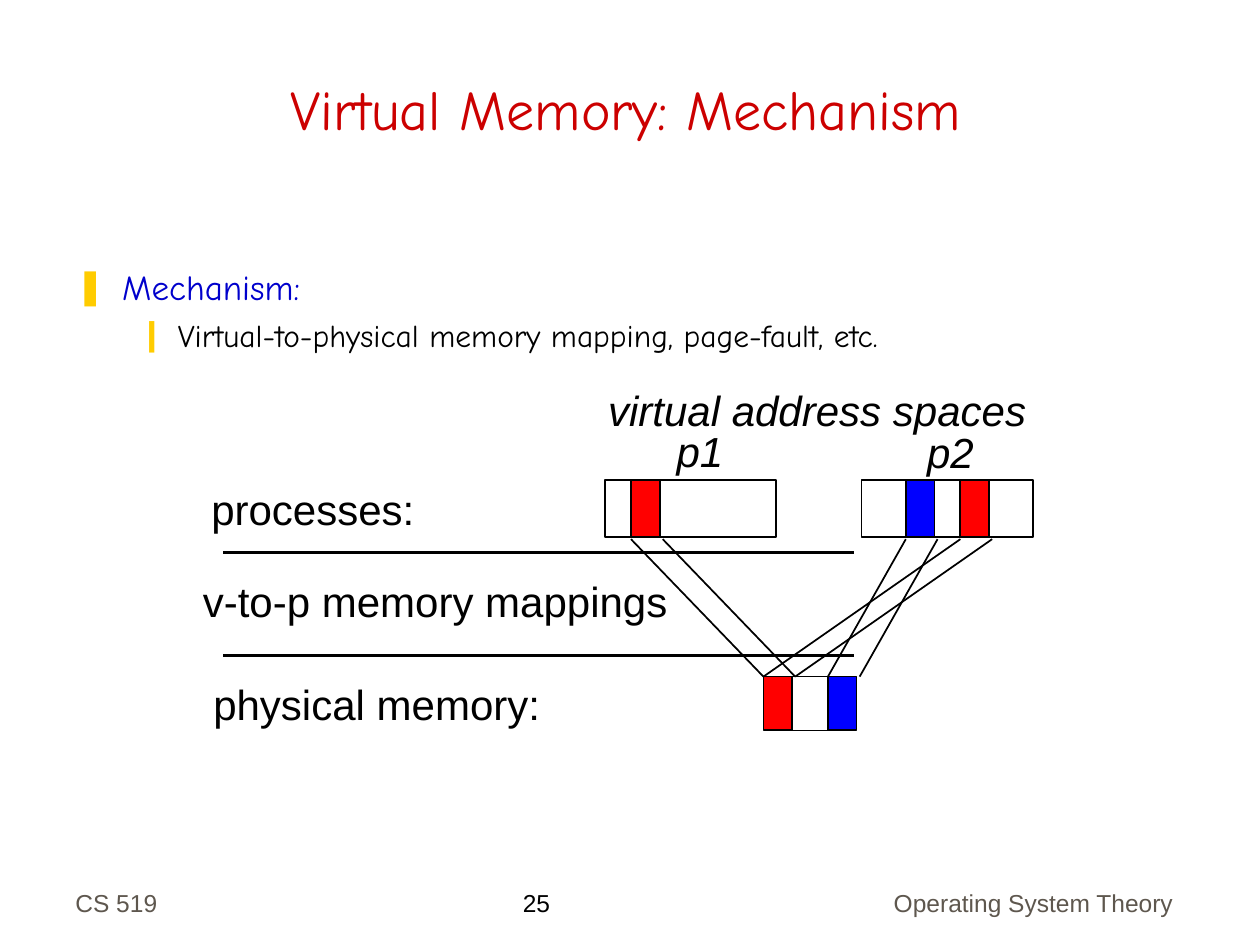
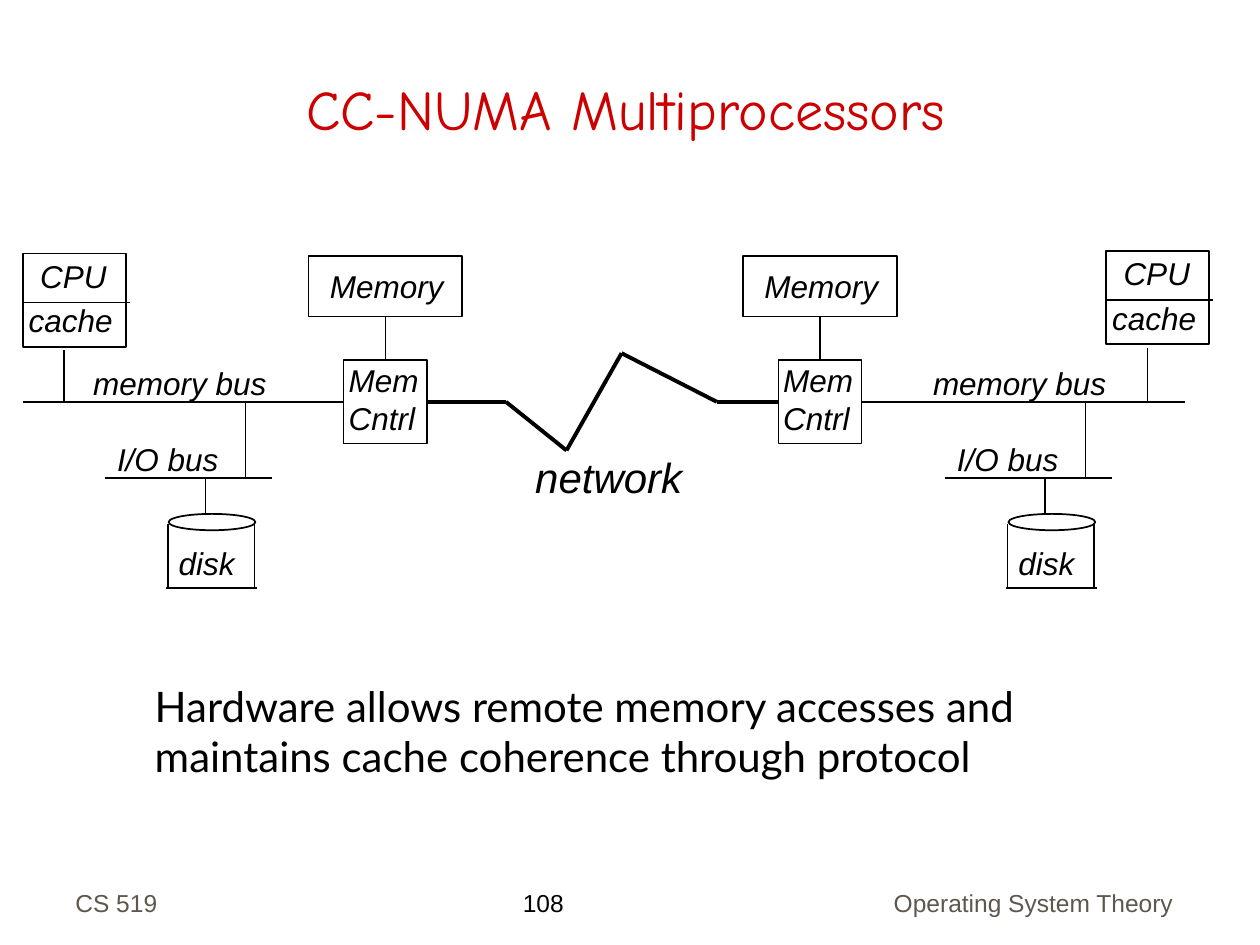
from lxml import etree
from pptx import Presentation
from pptx.dml.color import RGBColor
from pptx.enum.shapes import MSO_CONNECTOR, MSO_SHAPE
from pptx.enum.text import MSO_ANCHOR, PP_ALIGN
from pptx.oxml.ns import qn
from pptx.util import Cm, Pt

BLACK = RGBColor(0x00, 0x00, 0x00)
WHITE = RGBColor(0xFF, 0xFF, 0xFF)
RED = RGBColor(0xFF, 0x00, 0x00)
BLUE = RGBColor(0x00, 0x00, 0xFF)
CRIMSON = RGBColor(0xCC, 0x00, 0x00)
NAVY = RGBColor(0x00, 0x00, 0xCC)
GOLD = RGBColor(0xFF, 0xCC, 0x00)
GREY = RGBColor(0x5E, 0x57, 0x4E)

SANS = "Arial"
COMIC = "Comic Neue"
LATO = "Lato"

LEFT, CENTER, RIGHT = PP_ALIGN.LEFT, PP_ALIGN.CENTER, PP_ALIGN.RIGHT
TOP, BOTTOM = MSO_ANCHOR.TOP, MSO_ANCHOR.BOTTOM
RECT, OVAL = MSO_SHAPE.RECTANGLE, MSO_SHAPE.OVAL
STRAIGHT = MSO_CONNECTOR.STRAIGHT
S_TOP, S_LEFT, S_BOTTOM, S_RIGHT = range(4)

PAGE_W = 0.58
BUS_Y = 8.1
IO_Y = 9.63


def write(para, text, size, color=BLACK, face=SANS, italic=False):
    run = para.add_run()
    run.text = text
    font = run.font
    font.size = Pt(size)
    font.name = face
    font.italic = italic
    font.color.rgb = color


def place(shape, x, y, w, h):
    shape.left, shape.top, shape.width, shape.height = map(Cm, (x, y, w, h))


def label(slide, x, y, w, h, lines, size, color=BLACK, face=SANS,
          italic=False, align=LEFT, anchor=TOP):
    box = slide.shapes.add_textbox(Cm(x), Cm(y), Cm(w), Cm(h))
    frame = box.text_frame
    frame.word_wrap = True
    frame.vertical_anchor = anchor
    for i, line in enumerate(lines):
        para = frame.add_paragraph() if i else frame.paragraphs[0]
        para.alignment = align
        write(para, line, size, color, face, italic)


def tag(slide, x, y, w, *lines):
    label(slide, x, y, w, 1.02 if len(lines) == 1 else 1.78, lines, 18,
          italic=True)


def block(slide, x, y, w, h, fill=WHITE, kind=RECT, width=1):
    shape = slide.shapes.add_shape(kind, Cm(x), Cm(y), Cm(w), Cm(h))
    shape.shadow.inherit = False
    if fill is None:
        shape.fill.background()
    else:
        shape.fill.solid()
        shape.fill.fore_color.rgb = fill
    shape.line.color.rgb = BLACK
    shape.line.width = Pt(width)
    return shape


def line(slide, start, end, width=1, head=None, tail=None):
    link = slide.shapes.add_connector(STRAIGHT, *map(Cm, (*start, *end)))
    link.line.color.rgb = BLACK
    link.line.width = Pt(width)
    etree.SubElement(link._element.spPr, qn("a:effectLst"))
    if head:
        link.begin_connect(*head)
    if tail:
        link.end_connect(*tail)


def bullet(para, mark, margin, hang):
    props = para._p.get_or_add_pPr()
    props.set("marL", str(Cm(margin)))
    props.set("indent", str(-Cm(hang)))
    tint = etree.SubElement(props, qn("a:buClr"))
    etree.SubElement(tint, qn("a:srgbClr")).set("val", str(GOLD))
    etree.SubElement(props, qn("a:buChar")).set("char", mark)


def start(deck, layout, title, number):
    slide = deck.slides.add_slide(deck.slide_layouts[layout])
    head = slide.shapes.title
    place(head, 1.12, 0.64, 23, 2.34)
    head.text_frame.vertical_anchor = BOTTOM
    para = head.text_frame.paragraphs[0]
    para.alignment = CENTER
    write(para, title, 32, CRIMSON, COMIC)
    label(slide, 10.29, 17.78, 2.77, 0.86, [number], 14)
    label(slide, 1.27, 17.35, 5.28, 1.27, ["CS 519"], 14, GREY,
          anchor=BOTTOM)
    label(slide, 17.68, 17.17, 6.22, 1.45, ["Operating System Theory"], 14,
          GREY, align=RIGHT, anchor=BOTTOM)
    return slide


def points(slide):
    body = slide.placeholders[1]
    place(body, 1.27, 5.23, 22.7, 5.61)
    frame = body.text_frame
    first = frame.paragraphs[0]
    bullet(first, "❚", 0.94, 0.94)
    first.space_before = Pt(0)
    write(first, "Mechanism:", 20, NAVY, COMIC)
    sub = frame.add_paragraph()
    sub.level = 1
    bullet(sub, "❙", 2.06, 0.79)
    sub.space_before = Pt(4.5)
    write(sub, "Virtual-to-physical memory mapping, page-fault, etc.", 18,
          BLACK, COMIC)


def memory(deck):
    slide = start(deck, 1, "Virtual Memory: Mechanism", "25")
    points(slide)
    for y in (11.14, 13.21):
        line(slide, (4.5, y), (17.22, y), 2)
    for x, y, w, text in ((4.05, 13.56, 7.3, "physical memory:"),
                          (3.84, 11.48, 10.1, "v-to-p memory mappings"),
                          (4.01, 9.63, 6.76, "processes:")):
        label(slide, x, y, w, 1.27, [text], 24)
    for x, y, w, text in ((12.01, 7.62, 9.1, "virtual address spaces"),
                          (13.39, 8.46, 1.6, "p1"),
                          (18.44, 8.48, 1.6, "p2")):
        label(slide, x, y, w, 1.27, [text], 24, italic=True)

    for x in (12.19, 17.37):
        block(slide, x, 9.68, 3.45, 1.14)
    block(slide, 15.42, 13.64, 1.83, 1.09)
    for x, fill in ((15.39, RED), (16.69, BLUE)):
        block(slide, x, 13.64, PAGE_W, 1.08, fill)
    for x, goal, fill in ((12.72, 15.39, RED), (18.26, 16.69, BLUE),
                          (19.36, 15.39, RED)):
        block(slide, x, 9.68, PAGE_W, 1.14, fill)
        for step in (0, 0.64):
            line(slide, (x + step, 10.87), (goal + step, 13.64))


def chip(slide, x, y):
    block(slide, x, y, 2.08, 1.88)
    tag(slide, x + 0.1, y - 0.06, 1.85, "CPU")
    tag(slide, x - 0.13, y + 0.84, 2.59, "cache")
    line(slide, (x, y + 0.99), (x + 2.16, y + 0.99))
    line(slide, (x + 0.83, y + 1.95), (x + 0.83, BUS_Y))


def store(slide, x):
    ram = block(slide, x, 5.16, 3.1, 1.22)
    tag(slide, x + 0.18, 5.26, 2.9, "Memory")
    ctrl = block(slide, x + 0.71, 7.26, 1.68, 1.68, None, width=0.75)
    tag(slide, x + 0.56, 7.16, 2, "Mem", "Cntrl")
    mid = x + 1.55
    line(slide, (mid, 6.38), (mid, 7.26), 0.75,
         (ram, S_BOTTOM), (ctrl, S_TOP))
    return ctrl


def disk(slide, x):
    tag(slide, x - 0.48, 7.21, 4.1, "memory bus")
    line(slide, (x, IO_Y), (x + 3.38, IO_Y))
    line(slide, (x + 2.84, BUS_Y), (x + 2.84, IO_Y))
    tag(slide, x, 8.74, 2.64, "I/O bus")
    block(slide, x + 1.29, 10.36, 1.75, 0.33, kind=OVAL)
    line(slide, (x + 2.03, IO_Y), (x + 2.03, 10.36))
    for side in (x + 1.27, x + 3.02):
        line(slide, (side, 10.56), (side, 11.86))
    line(slide, (x + 1.24, 11.86), (x + 3.07, 11.86))
    tag(slide, x + 1.24, 10.85, 1.73, "disk")


def numa(deck):
    slide = start(deck, 5, "CC-NUMA Multiprocessors", "108")
    label(slide, 2.87, 13.59, 19.51, 2.29,
          ["Hardware allows remote memory accesses and",
           "maintains cache coherence through protocol"], 24, face=LATO)
    for x, y in ((0.46, 5.11), (22.3, 5.06)):
        chip(slide, x, y)
    for x in (2.11, 19.04):
        disk(slide, x)
    near, far = (store(slide, x) for x in (6.22, 14.98))
    line(slide, (0.46, BUS_Y), (6.93, BUS_Y), tail=(near, S_LEFT))
    line(slide, (17.37, BUS_Y), (23.88, BUS_Y), head=(far, S_RIGHT))

    path = [(8.61, BUS_Y), (10.2, BUS_Y), (11.42, 9.08), (12.53, 7.12),
            (14.45, BUS_Y), (15.69, BUS_Y)]
    heads = [(near, S_RIGHT)] + [None] * 4
    tails = [None] * 4 + [(far, S_LEFT)]
    for begin, end, head, tail in zip(path, path[1:], heads, tails):
        line(slide, begin, end, 2.25, head, tail)
    label(slide, 10.54, 8.97, 3.6, 1.27, ["network"], 24, italic=True)


def main():
    deck = Presentation()
    deck.slide_width, deck.slide_height = Cm(25.4), Cm(19.05)
    memory(deck)
    numa(deck)
    deck.save("out.pptx")


if __name__ == "__main__":
    main()
